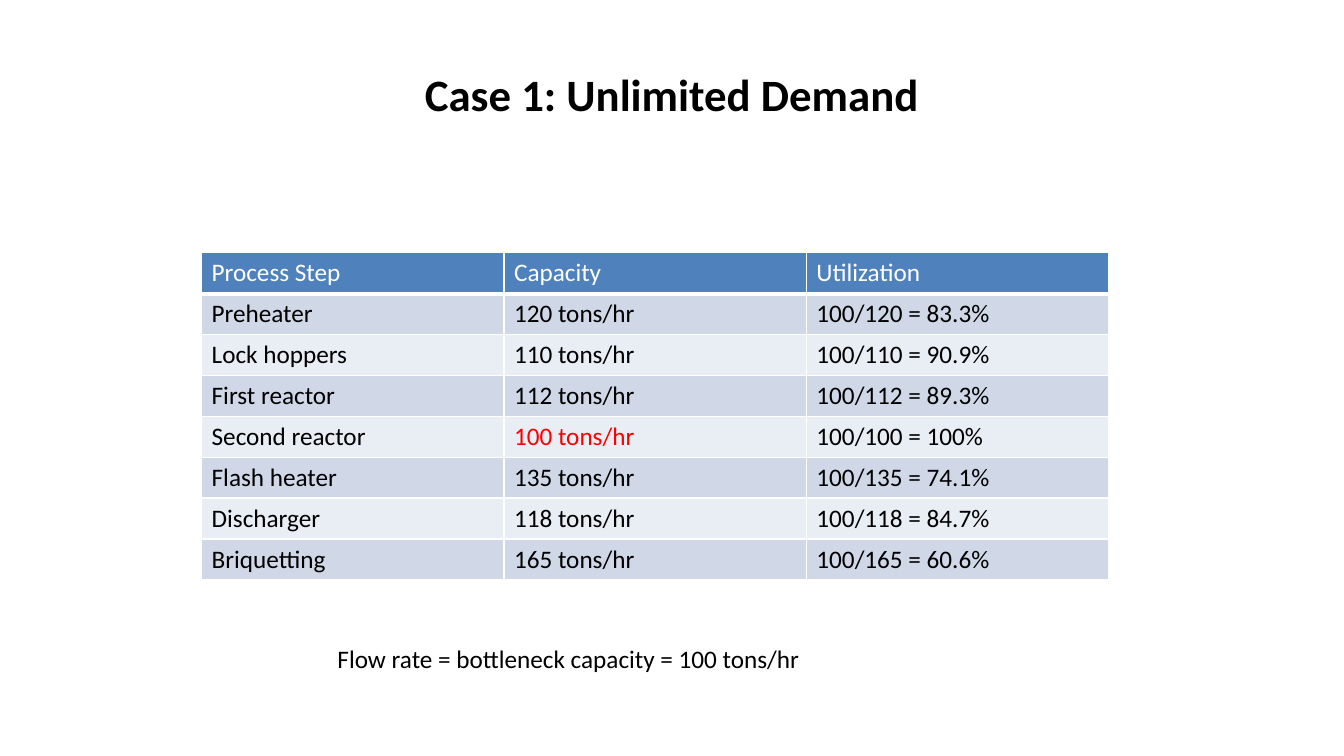
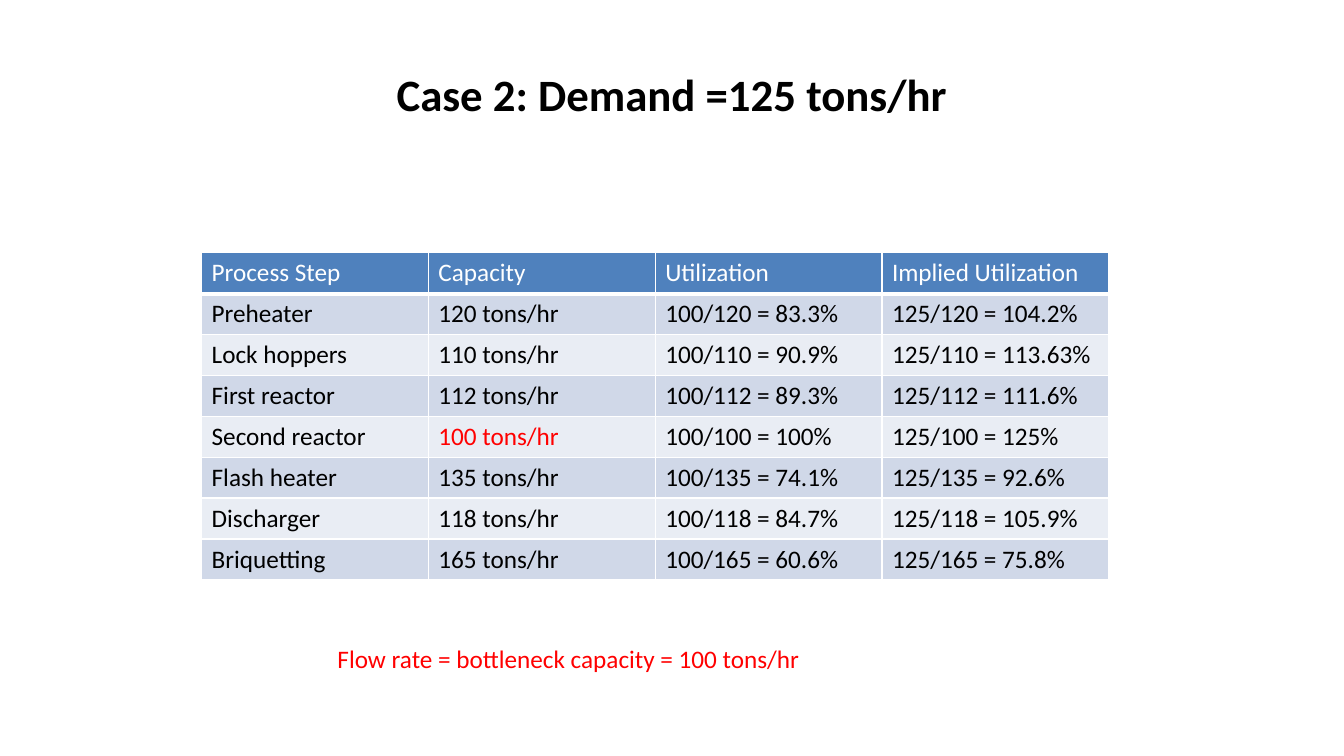
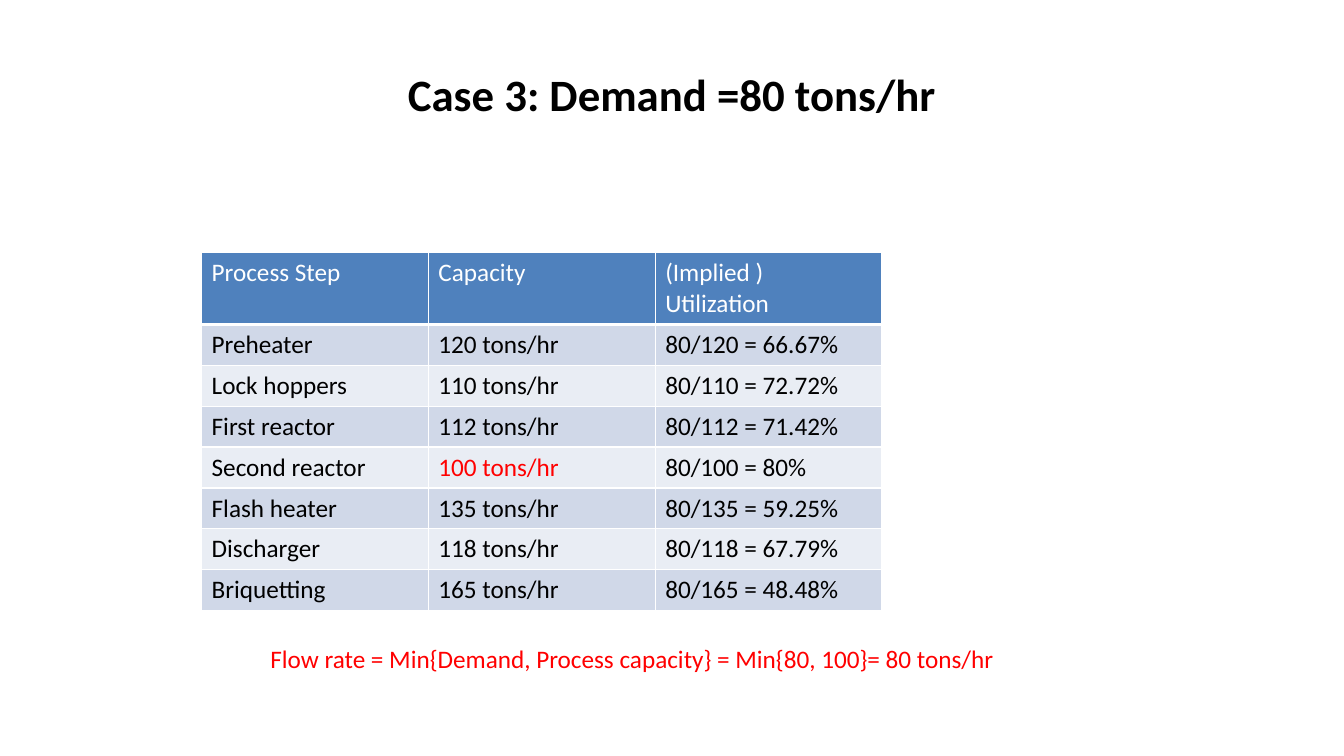
from dataclasses import dataclass

from lxml import etree
from pptx import Presentation
from pptx import util as u
from pptx.dml.color import RGBColor
from pptx.enum import text
from pptx.oxml.ns import qn


@dataclass(frozen=True)
class Theme:
    font: str = "Calibri"
    ink: str = "000000"
    paper: str = "FFFFFF"
    accent: str = "FF0000"
    header: str = "4F81BD"
    bands: tuple = ("D0D8E8", "E9EDF4")
    title_size: int = 32
    body_size: int = 18
    rule: int = 1
    header_rule: int = 3


COLUMNS, ROWS = 160, 90
TITLE_AREA = (8, 3.6, 144, 15)
TABLE_CORNER = (24, 30.1)
ROW_HEIGHT = 4.87
NOTE_TOP, NOTE_HEIGHT = 76, 4.85
STEPS = {
    "Preheater": 120,
    "Lock hoppers": 110,
    "First reactor": 112,
    "Second reactor": 100,
    "Flash heater": 135,
    "Discharger": 118,
    "Briquetting": 165,
}
BOTTLENECK = min(STEPS.values())
ACTUAL = ("83.3%", "90.9%", "89.3%", "100%", "74.1%", "84.7%", "60.6%")
IMPLIED = ("104.2%", "113.63%", "111.6%", "125%", "92.6%", "105.9%", "75.8%")
LIMITED = ("66.67%", "72.72%", "71.42%", "80%", "59.25%", "67.79%", "48.48%")
BOTTLENECK_NOTE = "Flow rate = bottleneck capacity = 100 tons/hr"


class Deck:
    def __init__(self, theme):
        self.theme = theme
        self.file = Presentation()
        self.file.slide_width = u.Inches(13.33)
        self.file.slide_height = u.Inches(7.5)
        self.page = None

    def across(self, columns):
        return round(self.file.slide_width * columns / COLUMNS)

    def down(self, rows):
        return round(self.file.slide_height * rows / ROWS)

    def place(self, left, top, width, height):
        return self.across(left), self.down(top), self.across(width), self.down(height)

    def set_text(self, frame, words, color, size, bold=False):
        frame.text = words
        for para in frame.paragraphs:
            for span in para.runs:
                span.font.name = self.theme.font
                span.font.size = u.Pt(size)
                span.font.bold = bold
                span.font.color.rgb = RGBColor.from_string(color)

    def new_page(self, title):
        self.page = self.file.slides.add_slide(self.file.slide_layouts[5])
        box = self.page.shapes.title
        box.left, box.top, box.width, box.height = self.place(*TITLE_AREA)
        frame = box.text_frame
        frame.vertical_anchor = text.MSO_ANCHOR.MIDDLE
        self.set_text(frame, title, self.theme.ink, self.theme.title_size, True)
        frame.paragraphs[0].alignment = text.PP_ALIGN.CENTER

    def border(self, cell, bottom):
        properties = cell._tc.get_or_add_tcPr()
        rules = {"lnL": self.theme.rule, "lnR": self.theme.rule,
                 "lnT": self.theme.rule, "lnB": bottom}
        for position, (side, width) in enumerate(rules.items()):
            line = etree.Element(qn(f"a:{side}"), w=str(u.Pt(width)))
            fill = etree.SubElement(line, qn("a:solidFill"))
            etree.SubElement(fill, qn("a:srgbClr"), val=self.theme.paper)
            properties.insert(position, line)

    def table(self, records, column_width):
        theme = self.theme
        size = column_width * len(records[0]), ROW_HEIGHT * len(records)
        area = self.place(*TABLE_CORNER, *size)
        grid = self.page.shapes.add_table(len(records), len(records[0]), *area).table
        for row, record in enumerate(records):
            fill = theme.bands[(row - 1) % 2] if row else theme.header
            for column, words in enumerate(record):
                cell = grid.cell(row, column)
                cell.fill.solid()
                cell.fill.fore_color.rgb = RGBColor.from_string(fill)
                color = theme.ink if row else theme.paper
                if words == capacity_label(BOTTLENECK):
                    color = theme.accent
                self.set_text(cell.text_frame, words, color, theme.body_size)
                self.border(cell, theme.rule if row else theme.header_rule)

    def note(self, words, left, width, color):
        area = self.place(left, NOTE_TOP, width, NOTE_HEIGHT)
        frame = self.page.shapes.add_textbox(*area).text_frame
        frame.word_wrap = False
        frame.auto_size = text.MSO_AUTO_SIZE.SHAPE_TO_FIT_TEXT
        self.set_text(frame, words, color, self.theme.body_size)


def capacity_label(capacity):
    return f"{capacity} tons/hr"


def utilization_table(*measures):
    records = [["Process Step", "Capacity"] + [heading for heading, _, _ in measures]]
    for index, (step, capacity) in enumerate(STEPS.items()):
        ratios = [f"{flow}/{capacity} = {shares[index]}" for _, flow, shares in measures]
        records.append([step, capacity_label(capacity)] + ratios)
    return records


def main():
    theme = Theme()
    deck = Deck(theme)
    utilization = ("Utilization", BOTTLENECK, ACTUAL)

    deck.new_page("Case 1: Unlimited Demand")
    deck.table(utilization_table(utilization), 36)
    deck.note(BOTTLENECK_NOTE, 39, 58, theme.ink)

    deck.new_page("Case 2: Demand =125 tons/hr")
    deck.table(utilization_table(utilization, ("Implied Utilization", 125, IMPLIED)), 27)
    deck.note(BOTTLENECK_NOTE, 39, 58, theme.accent)

    deck.new_page("Case 3: Demand =80 tons/hr")
    deck.table(utilization_table(("(Implied ) Utilization", 80, LIMITED)), 27)
    deck.note("Flow rate = Min{Demand, Process capacity} = Min{80, 100}= 80 tons/hr",
              31, 89.5, theme.accent)

    deck.file.save("out.pptx")


if __name__ == "__main__":
    main()
